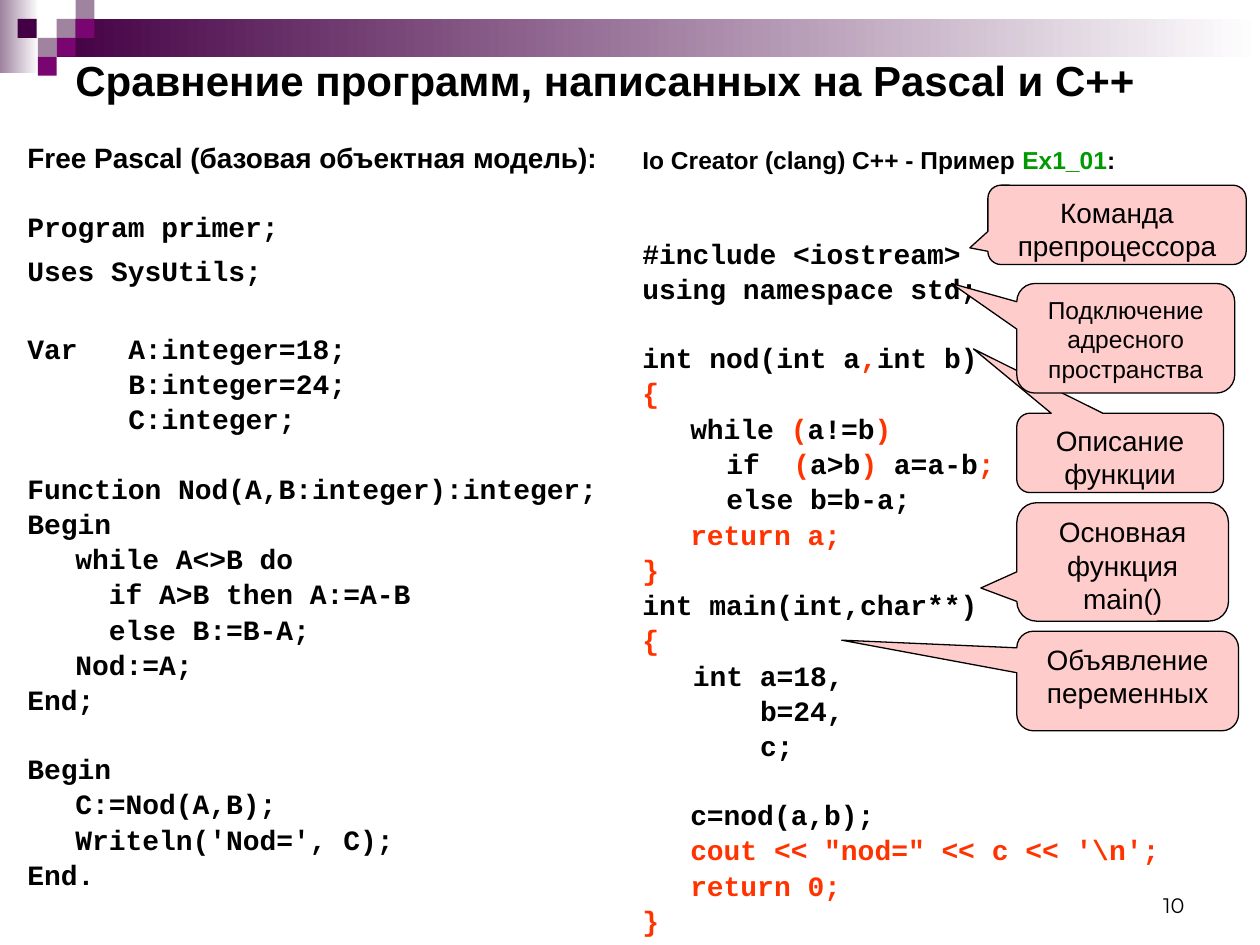
from dataclasses import dataclass

import pptx
import pptx.dml.color
import pptx.enum.shapes
import pptx.enum.text
import pptx.util
from pptx.util import Inches

COLOURS = {
    "black": "000000",
    "white": "FFFFFF",
    "dark": "440044",
    "purple": "790571",
    "mauve": "9F839F",
    "pink": "FFCCCC",
    "red": "FF3300",
    "green": "009900",
}
SHAPES = pptx.enum.shapes.MSO_SHAPE
ANCHORS = pptx.enum.text.MSO_ANCHOR
ALIGNMENTS = pptx.enum.text.PP_ALIGN
SQUARE = 0.15
TAB = 0.38
COLUMN = 0.4 / 3  # width of one 16 pt Courier New character
GAP = 4.8  # points between code lines
BLANK = 24.1  # points before a line that starts a new section


@dataclass
class Line:
    """A line of text; parts between bars alternate between black and accent."""
    text: str
    indent: float = 0
    before: float = GAP
    spacing: float = 0.8
    hanging: float = 0
    font: str = "Courier New"
    size: float = 16
    accent: str = "red"


@dataclass
class Callout:
    text: str
    box: tuple[float, float, float, float]
    tip: tuple[float, float]
    size: float = 16


PASCAL = [
    Line("Free Pascal (базовая объектная модель):", font="Arial"),
    Line("Program primer;", before=BLANK),
    Line("Uses SysUtils;", spacing=1.05),
    Line("Var\tA:integer=18;", 6 * COLUMN, before=29.2, hanging=6 * COLUMN),
    Line("B:integer=24;", 6 * COLUMN),
    Line("C:integer;", 6 * COLUMN),
    Line("Function Nod(A,B:integer):integer;", before=BLANK),
    Line("Begin"),
    Line("while A<>B do", TAB),
    Line("if A>B then A:=A-B", TAB + 2 * COLUMN),
    Line("else B:=B-A;", TAB + 2 * COLUMN),
    Line("Nod:=A;", TAB),
    Line("End;"),
    Line("Begin", before=BLANK),
    Line("C:=Nod(A,B);", TAB),
    Line("Writeln('Nod=', C);", TAB),
    Line("End."),
]
CPP = [
    Line("Io Creator (clang) C++ - Пример |Ex1_01|:", before=4.2,
         font="Arial", size=14, accent="green"),
    Line("#include <iostream>", before=39),
    Line("using namespace std;"),
    Line("int nod(int a|,|int b)", before=BLANK),
    Line("|{"),
    Line("while |(|a!=b|)", TAB),
    Line("if | (|a>b|)| a=a-b|;", 5 * COLUMN),
    Line("else b=b-a;", 5 * COLUMN),
    Line("|return a;", TAB),
    Line("|}"),
    Line("int main(int,char**)"),
    Line("|{"),
    Line("int a=18,", 3 * COLUMN),
    Line("b=24,", 7 * COLUMN),
    Line("c;", 7 * COLUMN),
    Line("c=nod(a,b);", TAB, before=BLANK),
    Line("|cout << \"nod=\" << c << '\\n';", TAB),
    Line("|return 0;", TAB),
    Line("|}"),
]
CALLOUTS = [
    Callout("Команда\nпрепроцессора", (7.84, 1.47, 2.05, 0.63), (-0.57, 0.29)),
    Callout("Объявление\nпеременных", (8.07, 5.01, 1.76, 0.79), (-1.29, -0.41)),
    Callout("Основная\nфункция main()", (8.07, 3.99, 1.68, 0.94), (-0.67, 0.22)),
    Callout("Описание\nфункции", (8.07, 3.28, 1.64, 0.63), (-0.71, -1.31)),
    Callout("Подключение адресного пространства",
            (8.07, 2.25, 1.73, 0.87), (-0.8, -0.5), 14),
]
BANDS = [
    ((0, 0, 0.31, 0.58), "mauve"),
    ((0.45, 0.15, 9.55, 0.3), "dark"),
]
SQUARES = [
    (0.45, 0.15, "mauve"), (0.6, 0, "mauve"), (0.6, 0.15, "purple"),
    (0.3, 0.3, "mauve"), (0.14, 0.15, "dark"), (0.45, 0.3, "purple"),
    (0.3, 0.45, "purple"),
]


def rgb(name: str) -> pptx.dml.color.RGBColor:
    return pptx.dml.color.RGBColor.from_string(COLOURS[name])


def set_font(paragraph, name: str, size: float, bold: bool = False) -> None:
    font = paragraph.font
    font.name, font.size, font.bold = name, pptx.util.Pt(size), bold
    font.color.rgb = rgb("black")


def add_shape(slide, kind, box: tuple[float, float, float, float]):
    shape = slide.shapes.add_shape(kind, *map(Inches, box))
    shape.shadow.inherit = False
    return shape


def add_band(slide, box: tuple[float, float, float, float], colour: str) -> None:
    """Draw a borderless strip that fades from the colour to white."""
    band = add_shape(slide, SHAPES.RECTANGLE, box)
    band.line.fill.background()
    band.fill.gradient()
    band.fill.gradient_angle = 0
    for stop, name in zip(band.fill.gradient_stops, (colour, "white")):
        stop.color.rgb = rgb(name)


def add_square(slide, left: float, top: float, colour: str) -> None:
    square = add_shape(slide, SHAPES.RECTANGLE, (left, top, SQUARE, SQUARE))
    square.line.fill.background()
    square.fill.solid()
    square.fill.fore_color.rgb = rgb(colour)


def add_text_frame(slide, box: tuple[float, float, float, float], anchor):
    frame = slide.shapes.add_textbox(*map(Inches, box)).text_frame
    frame.word_wrap = True
    frame.vertical_anchor = anchor
    return frame


def add_label(slide, text: str, box, anchor, alignment, font: str,
              size: float, bold: bool = False) -> None:
    paragraph = add_text_frame(slide, box, anchor).paragraphs[0]
    paragraph.text = text
    paragraph.alignment = alignment
    set_font(paragraph, font, size, bold)


def add_listing(slide, box, lines: list[Line]) -> None:
    frame = add_text_frame(slide, box, ANCHORS.TOP)
    for number, line in enumerate(lines):
        paragraph = frame.add_paragraph() if number else frame.paragraphs[0]
        paragraph.line_spacing = line.spacing
        paragraph.space_before = pptx.util.Pt(line.before)
        set_font(paragraph, line.font, line.size, bold=True)
        properties = paragraph._p.get_or_add_pPr()
        properties.set("marL", str(Inches(line.indent)))
        properties.set("indent", str(-Inches(line.hanging)))
        for position, part in enumerate(line.text.split("|")):
            if part:
                run = paragraph.add_run()
                run.text = part
                run.font.color.rgb = rgb(line.accent if position % 2 else "black")


def add_callout(slide, callout: Callout) -> None:
    shape = add_shape(slide, SHAPES.ROUNDED_RECTANGULAR_CALLOUT, callout.box)
    shape.adjustments[0], shape.adjustments[1] = callout.tip
    shape.fill.solid()
    shape.fill.fore_color.rgb = rgb("pink")
    shape.line.color.rgb = rgb("black")
    shape.line.width = pptx.util.Pt(0.75)
    frame = shape.text_frame
    frame.word_wrap = True
    frame.vertical_anchor = ANCHORS.TOP
    frame.text = callout.text
    for paragraph in frame.paragraphs:
        paragraph.alignment = ALIGNMENTS.CENTER
        set_font(paragraph, "Arial", callout.size)
        for run in paragraph.runs:
            run.font.color.rgb = rgb("black")


def main() -> None:
    presentation = pptx.Presentation()
    presentation.slide_width, presentation.slide_height = Inches(10), Inches(7.5)
    slide = presentation.slides.add_slide(presentation.slide_layouts[6])
    for box, colour in BANDS:
        add_band(slide, box, colour)
    for square in SQUARES:
        add_square(slide, *square)
    add_label(slide, "10", (7.17, 6.83, 2.33, 0.5), ANCHORS.BOTTOM,
              ALIGNMENTS.RIGHT, "Montserrat", 12)
    add_label(slide, "Сравнение программ, написанных на Pascal и С++",
              (0.5, 0.36, 9, 0.55), ANCHORS.MIDDLE, ALIGNMENTS.LEFT,
              "Arial", 24, bold=True)
    add_listing(slide, (0.12, 1.12, 4.96, 6.38), PASCAL)
    add_listing(slide, (5, 1.15, 4.42, 6.59), CPP)
    for callout in CALLOUTS:
        add_callout(slide, callout)
    presentation.save("out.pptx")


if __name__ == "__main__":
    main()
